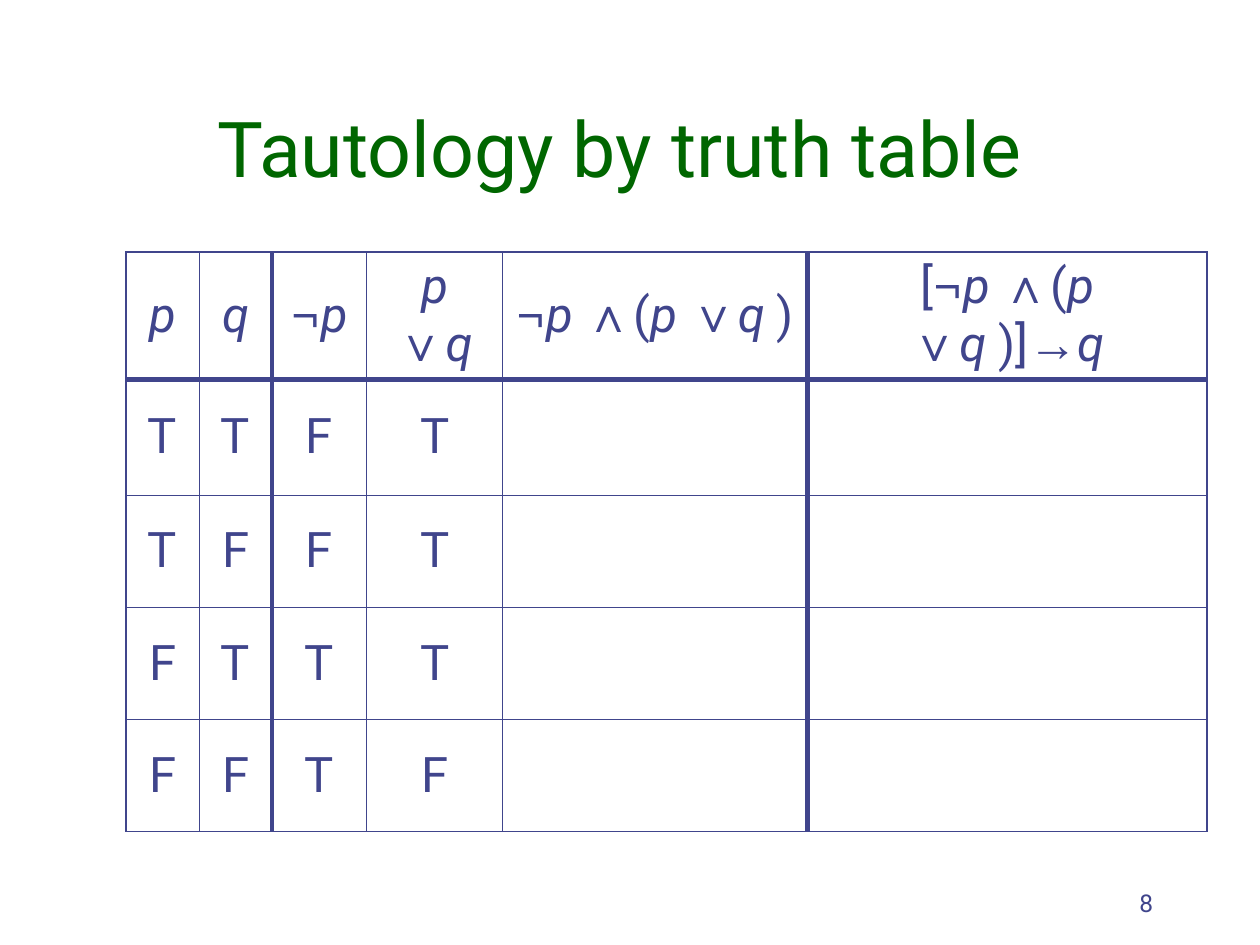
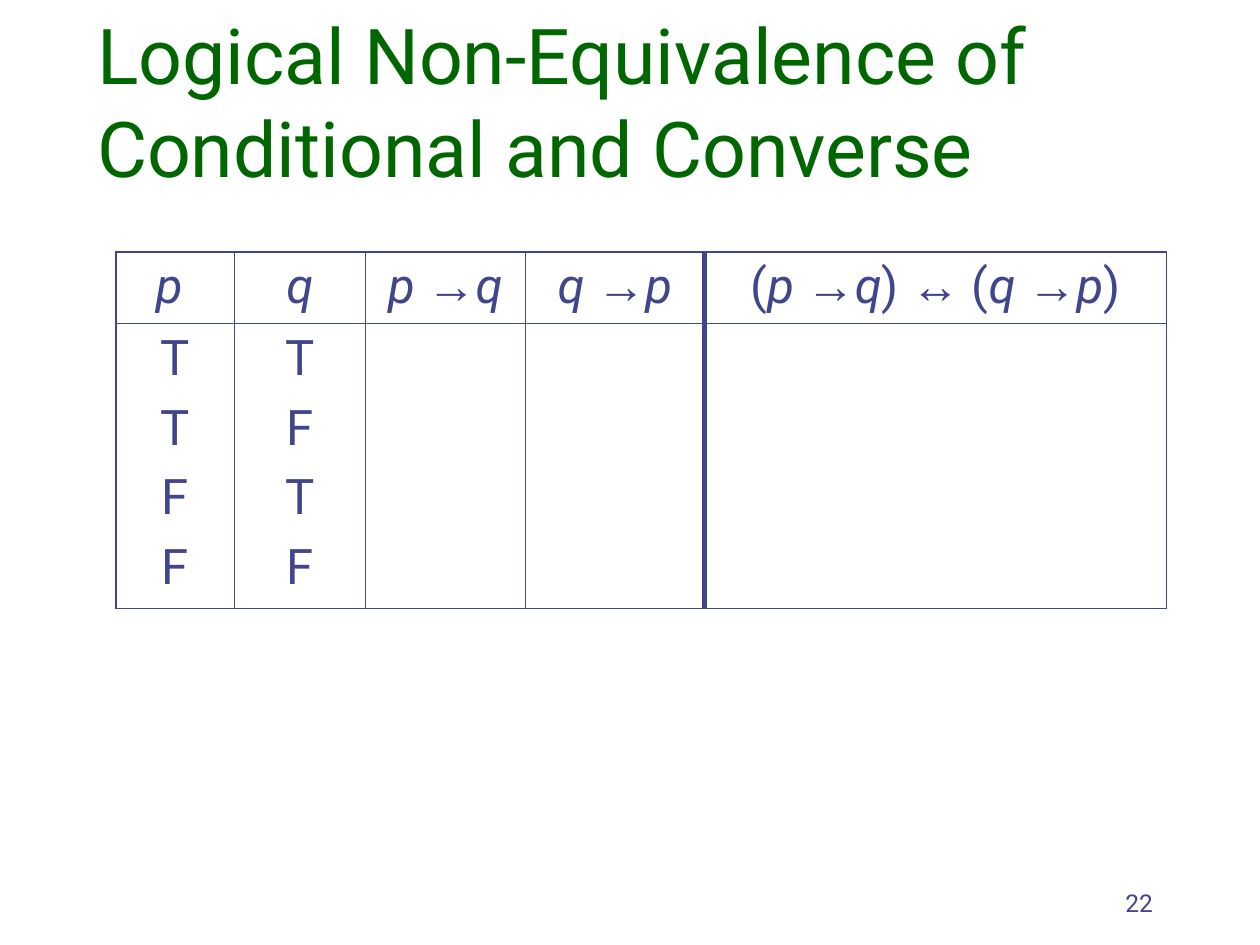
from dataclasses import dataclass
from itertools import groupby

from lxml.etree import SubElement
from pptx import Presentation
from pptx.dml.color import RGBColor
from pptx.enum.text import MSO_ANCHOR, MSO_AUTO_SIZE, PP_ALIGN
from pptx.oxml.ns import qn
from pptx.util import Inches, Pt


@dataclass(frozen=True)
class Theme:
    title_color: RGBColor = RGBColor(0x00, 0x66, 0x00)
    ink: RGBColor = RGBColor(0x40, 0x45, 0x8C)
    font: str = "Roboto"
    operator_font: str = "Arial"
    negation_font: str = "Times New Roman"
    title_size: Pt = Pt(44)
    cell_size: Pt = Pt(28)
    number_size: Pt = Pt(14)
    cell_gap: Pt = Pt(7)
    hair: float = 0.11
    thin: float = 0.45
    edge: float = 1.08
    thick: float = 3


THEME = Theme()
TITLE_BOX = (0.67, 0.33, 8.5, 1.25)
NUMBER_BOX = (7.17, 6.83, 2.08, 0.5)


def set_font(font, color=THEME.ink, **values):
    font.color.rgb = color
    for name, value in values.items():
        setattr(font, name, value)


def set_frame(tf, anchor):
    values = {"word_wrap": True, "auto_size": MSO_AUTO_SIZE.NONE,
              "vertical_anchor": anchor}
    for name, value in values.items():
        setattr(tf, name, value)


# Title and slide number
def add_title(s, text, align, box=TITLE_BOX):
    sp = s.shapes.title
    sp.left, sp.top, sp.width, sp.height = map(Inches, box)
    tf = sp.text_frame
    set_frame(tf, MSO_ANCHOR.BOTTOM)
    p = tf.paragraphs[0]
    p.alignment = align
    r = p.add_run()
    r.text = text
    set_font(r.font, THEME.title_color, name=THEME.font, size=THEME.title_size)


def add_number(s, number, box=NUMBER_BOX):
    tf = s.shapes.add_textbox(*map(Inches, box)).text_frame
    set_frame(tf, MSO_ANCHOR.BOTTOM)
    p = tf.paragraphs[0]
    p.alignment = PP_ALIGN.RIGHT
    r = p.add_run()
    r.text = str(number)
    set_font(r.font, name=THEME.font, size=THEME.number_size)


# Logic formulas: variables are italic, operators have their own fonts
def symbol_style(char):
    """Return font name, bold and italic for one symbol."""
    if char == "¬":
        return THEME.negation_font, True, True
    if char in "∧∨→↔":
        return THEME.operator_font, False, False
    return THEME.font, False, char in "pq "


def write_formula(p, formula):
    p.alignment = PP_ALIGN.CENTER
    for (name, bold, italic), chars in groupby(formula, symbol_style):
        r = p.add_run()
        r.text = "".join(chars)
        set_font(r.font, name=name, bold=bold, italic=italic,
                 size=THEME.cell_size)


def write_cell(cell, text, anchor):
    cell.vertical_anchor = anchor
    cell.fill.background()
    tf = cell.text_frame
    for i, line in enumerate(text.split("\n")):
        p = tf.add_paragraph() if i else tf.paragraphs[0]
        if i:
            p.space_before = THEME.cell_gap
        write_formula(p, line)
        if not line:
            p.font.size = THEME.cell_size


def set_borders(cell, left, right, top, bottom):
    """Draw the four sides, whose lines stand before the fill."""
    tc_pr = cell._tc.get_or_add_tcPr()
    sides = {"a:lnL": left, "a:lnR": right, "a:lnT": top, "a:lnB": bottom}
    for i, (tag, width) in enumerate(sides.items()):
        ln = SubElement(tc_pr, qn(tag), w=str(int(Pt(width))))
        fill = SubElement(ln, qn("a:solidFill"))
        SubElement(fill, qn("a:srgbClr"), val=str(THEME.ink))
        tc_pr.insert(i, ln)


# Truth table: v_rules and h_rules hold the width of each grid line
def add_truth_table(s, left, top, cols, heights, rows, v_rules, h_rules, anchor):
    box = map(Inches, (left, top, sum(cols), sum(heights)))
    table = s.shapes.add_table(len(rows), len(cols), *box).table
    table.first_row = table.horz_banding = False
    for column, width in zip(table.columns, cols):
        column.width = Inches(width)
    for row, height in zip(table.rows, heights):
        row.height = Inches(height)
    for i, texts in enumerate(rows):
        for j, text in enumerate(texts):
            cell = table.cell(i, j)
            write_cell(cell, text, anchor)
            set_borders(cell, *v_rules[j:j + 2], *h_rules[i:i + 2])


def add_slide(prs, title, align, number, **table):
    s = prs.slides.add_slide(prs.slide_layouts[5])
    add_number(s, number)
    add_title(s, title, align)
    add_truth_table(s, **table)


def main():
    prs = Presentation()
    prs.slide_width, prs.slide_height = Inches(10), Inches(7.5)
    hair, thin, edge, thick = THEME.hair, THEME.thin, THEME.edge, THEME.thick

    add_slide(
        prs, "Tautology by truth table", PP_ALIGN.CENTER, 8,
        left=1, top=2,
        cols=[0.58, 0.58, 0.75, 1.08, 2.42, 3.17],
        heights=[0.67, 0.92, 0.89, 0.89, 0.89],
        rows=[["p", "q", "¬p", "p ∨q", "¬p ∧(p ∨q )", "[¬p ∧(p ∨q )]→q"],
              *([*values, "", ""] for values in ("TTFT", "TFFT", "FTTT", "FFTF"))],
        v_rules=[edge, thin, thick, thin, thin, thick, edge],
        h_rules=[edge, thick, hair, thin, thin, edge],
        anchor=MSO_ANCHOR.MIDDLE)

    add_slide(
        prs, "Logical Non-Equivalence of Conditional and Converse",
        PP_ALIGN.LEFT, 22,
        left=0.92, top=2,
        cols=[0.94, 1.04, 1.27, 1.42, 3.67],
        heights=[0.57, 2.26],
        rows=[["p ", "q", "p →q", "q →p", "(p →q) ↔ (q →p)"],
              ["\n".join("TTFF"), "\n".join("TFTF"), "", "", ""]],
        v_rules=[edge, thin, thin, thin, thick, edge],
        h_rules=[edge, thin, edge],
        anchor=MSO_ANCHOR.TOP)

    prs.save("out.pptx")


if __name__ == "__main__":
    main()
